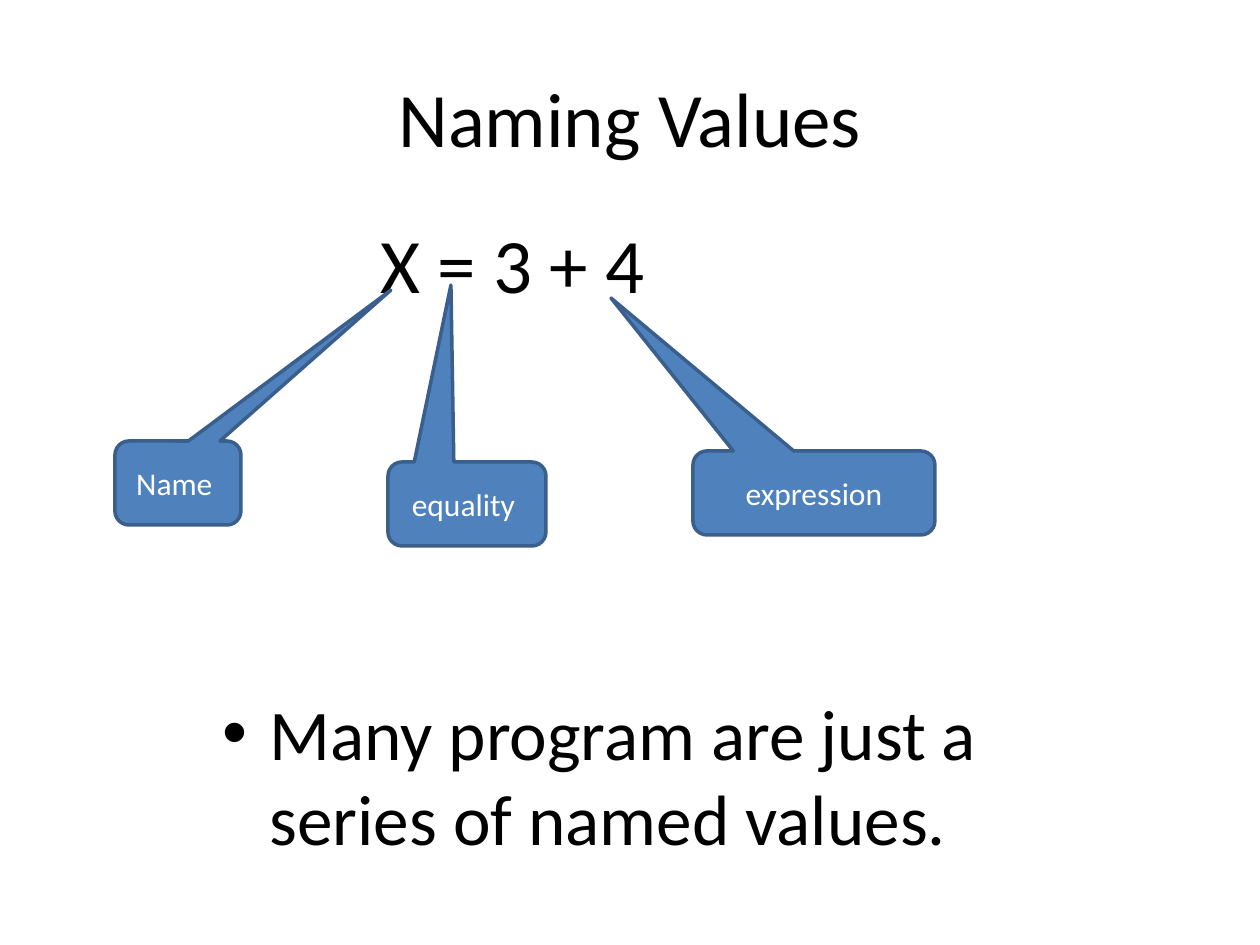
from lxml.etree import SubElement
from pptx import Presentation
from pptx.dml.color import RGBColor
from pptx.enum.shapes import MSO_SHAPE as Shape
from pptx.enum.text import MSO_ANCHOR as Anchor, PP_ALIGN as Align
from pptx.oxml.ns import qn
from pptx.util import Pt

PX = 914400 // 126
FONT = "Calibri"
COLORS = {"text": "000000", "label": "FFFFFF", "fill": "4F81BD", "line": "3A5F8C"}

TITLE = ("Naming Values", (63, 38, 1134, 158))
EQUATION = ("X = 3 + 4", (368, 210, 577, 116))
REMARK = ("Many program are just a series of named values.", (210, 683, 892, 168))
HANGING = 47
# label, box, point of the wedge
CALLOUTS = [
    ("Name ", (115, 441, 126, 84), (391, 290)),
    ("equality ", (388, 462, 158, 84), (451, 285)),
    ("expression", (693, 451, 242, 84), (611, 298)),
]


def emu(box):
    """Turn pixel lengths into EMU."""
    return [length * PX for length in box]


def color(name):
    """Look up a colour by its role."""
    return RGBColor.from_string(COLORS[name])


def write(shape, text, size=44, ink="text", align=Align.LEFT, anchor=Anchor.TOP, bullet=None):
    """Fill a shape with one formatted paragraph."""
    frame = shape.text_frame
    frame.word_wrap = True
    frame.vertical_anchor = anchor
    paragraph = frame.paragraphs[0]
    paragraph.alignment = align
    run = paragraph.add_run()
    run.text = text
    run.font.name = FONT
    run.font.size = Pt(size)
    run.font.color.rgb = color(ink)
    if bullet:
        props = paragraph._p.get_or_add_pPr()
        props.set("marL", str(HANGING * PX))
        props.set("indent", str(-HANGING * PX))
        SubElement(props, qn("a:buFont"), typeface="Arial")
        SubElement(props, qn("a:buChar"), char=bullet)


def add_text(slide, content, **style):
    """Add a text box from a (text, box) pair."""
    text, box = content
    write(slide.shapes.add_textbox(*emu(box)), text, **style)


def add_callout(slide, label, box, tip):
    """Add a rounded callout whose wedge ends at tip."""
    left, top, width, height = box
    callout = slide.shapes.add_shape(Shape.ROUNDED_RECTANGULAR_CALLOUT, *emu(box))
    callout.adjustments[0] = (tip[0] - left) / width - 0.5
    callout.adjustments[1] = (tip[1] - top) / height - 0.5
    callout.adjustments[2] = 0.167
    callout.shadow.inherit = False
    callout.fill.solid()
    callout.fill.fore_color.rgb = color("fill")
    callout.line.color.rgb = color("line")
    callout.line.width = Pt(2)
    write(callout, label, size=18, ink="label", align=Align.CENTER, anchor=Anchor.MIDDLE)


deck = Presentation()
deck.slide_width, deck.slide_height = emu((1260, 945))
slide = deck.slides.add_slide(deck.slide_layouts[6])
add_text(slide, TITLE, align=Align.CENTER, anchor=Anchor.MIDDLE)
add_text(slide, EQUATION)
for label, box, tip in CALLOUTS:
    add_callout(slide, label, box, tip)
add_text(slide, REMARK, size=40.7, bullet="•")
deck.save("out.pptx")
